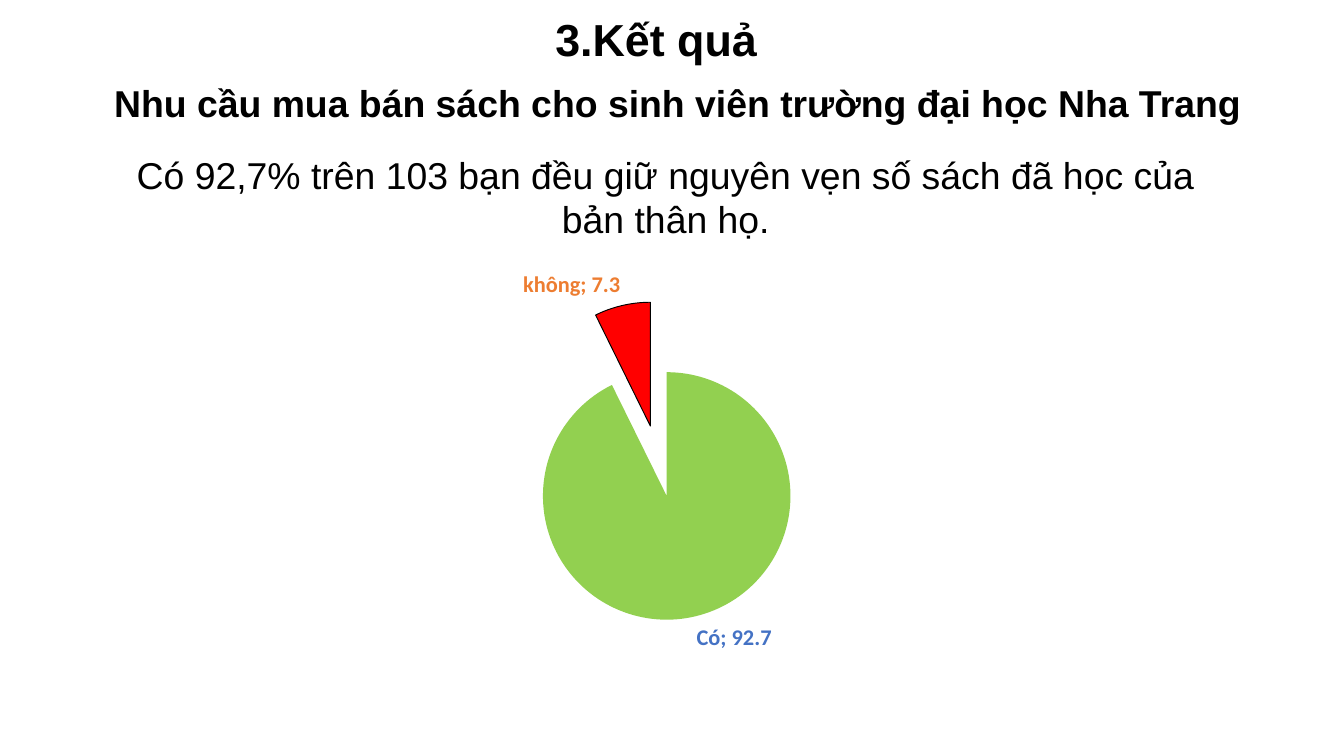
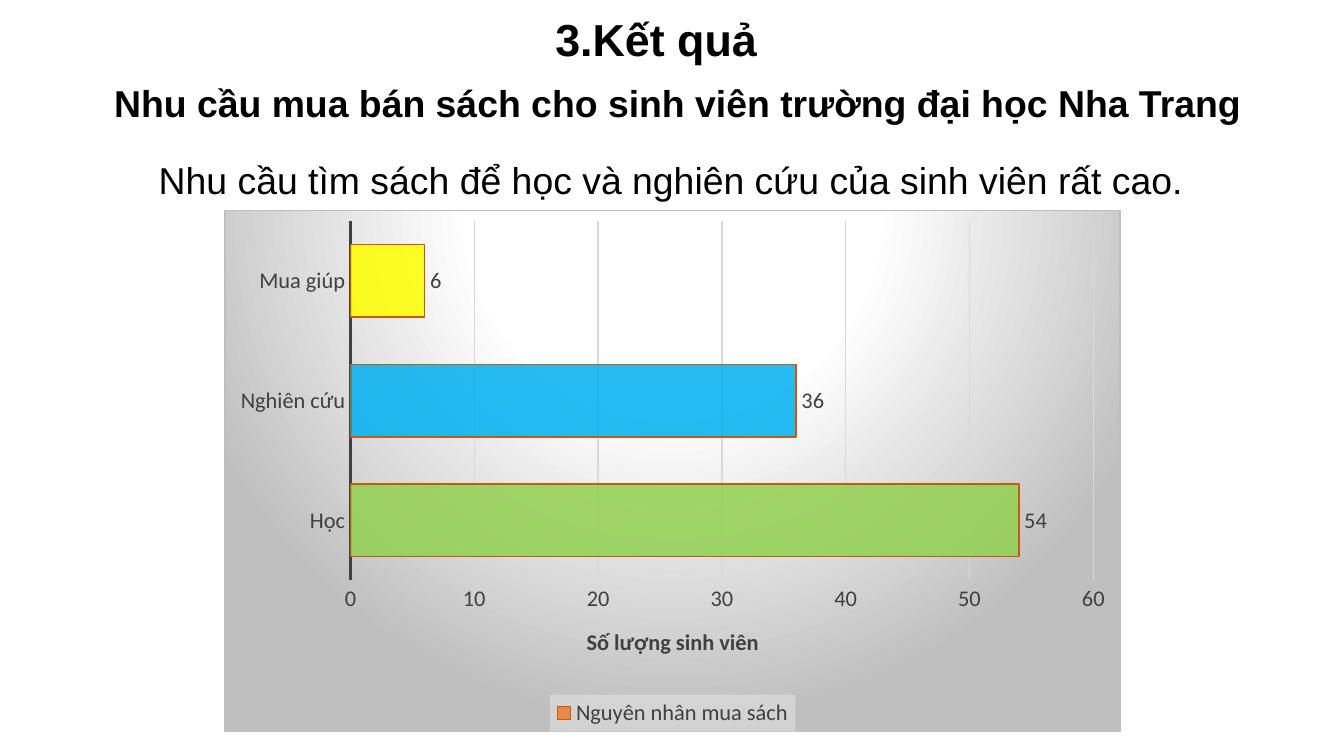
from lxml import etree
from pptx import Presentation, util as u
from pptx.chart.data import CategoryChartData
from pptx.dml.color import RGBColor
from pptx.enum import chart as ch, text
from pptx.oxml import parse_xml
from pptx.oxml.ns import nsdecls, qn

CELL = u.Inches(0.1)  # the slide is a grid of 100 columns and 56.25 rows
COLS, ROWS = 100, 56.25

BLACK = RGBColor(0, 0, 0)
GREY = RGBColor(0x40, 0x40, 0x40)
PALE = RGBColor(0xD9, 0xD9, 0xD9)
GREEN = RGBColor(0x92, 0xD0, 0x50)
RED = RGBColor(0xFF, 0, 0)
SKY = RGBColor(0, 0xB0, 0xF0)
YELLOW = RGBColor(0xFF, 0xFF, 0)
BLUE = RGBColor(0x44, 0x72, 0xC4)
ORANGE = RGBColor(0xED, 0x7D, 0x31)
RUST = RGBColor(0xC5, 0x5A, 0x11)

HEAD = "3.Kết quả"
TOPIC = "Nhu cầu mua bán sách cho sinh viên trường đại học Nha Trang"

BACK = f"""<c:spPr {nsdecls("c", "a")}>
  <a:gradFill>
    <a:gsLst>
      <a:gs pos="0"><a:srgbClr val="FFFFFF"/></a:gs>
      <a:gs pos="39000"><a:srgbClr val="FFFFFF"/></a:gs>
      <a:gs pos="100000"><a:srgbClr val="BFBFBF"/></a:gs>
    </a:gsLst>
    <a:path path="circle">
      <a:fillToRect l="50000" t="-80000" r="50000" b="180000"/>
    </a:path>
  </a:gradFill>
  <a:ln w="9525"><a:solidFill><a:srgbClr val="BFBFBF"/></a:solidFill></a:ln>
</c:spPr>"""

VEIL = f"""<c:spPr {nsdecls("c", "a")}>
  <a:solidFill><a:srgbClr val="F2F2F2"><a:alpha val="39000"/></a:srgbClr></a:solidFill>
</c:spPr>"""


def cells(*spans):
    return [round(n * CELL) for n in spans]


def set_font(font, size, color, bold=False, name="Calibri"):
    font.name, font.size, font.bold = name, u.Pt(size), bold
    font.color.rgb = color


def add_text(slide, box, words, size=20, bold=False, align=None, pad=0.1,
             middle=False, grow=False):
    frame = slide.shapes.add_textbox(*cells(*box)).text_frame
    frame.word_wrap = True
    frame.margin_top = frame.margin_bottom = u.Inches(pad)
    if middle:
        frame.vertical_anchor = text.MSO_ANCHOR.MIDDLE
    if grow:
        frame.auto_size = text.MSO_AUTO_SIZE.SHAPE_TO_FIT_TEXT
    para = frame.paragraphs[0]
    para.text = words
    para.alignment = align
    set_font(para.font, size, BLACK, bold, "Arial")


def add_page(deck, claim, box):
    """Add a slide with the shared headings and its own claim."""
    slide = deck.slides.add_slide(deck.slide_layouts[6])
    add_text(slide, (32.1, -1.1, 25.2, 8), HEAD, 24, True,
             text.PP_ALIGN.RIGHT, middle=True)
    add_text(slide, box, claim, align=text.PP_ALIGN.CENTER, pad=0.05, grow=True)
    add_text(slide, (7.5, 5, 86.8, 5.9), TOPIC, bold=True)
    return slide


def add_chart(slide, kind, box, name, data, area):
    """Add a one-series chart; area is the plot's x, y, w, h as chart shares."""
    source = CategoryChartData()
    source.categories = list(data)
    source.add_series(name, list(data.values()))
    chart = slide.shapes.add_chart(kind, *cells(*box), source).chart
    chart.has_title = chart.has_legend = False
    set_font(chart.font, 10, BLACK)

    plot = chart.element.find(".//" + qn("c:plotArea"))
    for old in plot.findall(qn("c:layout")):
        plot.remove(old)
    layout = etree.Element(qn("c:layout"))
    manual = etree.SubElement(layout, qn("c:manualLayout"))
    rules = [("layoutTarget", "inner"), ("xMode", "edge"), ("yMode", "edge"),
             *zip("xywh", area)]
    for tag, val in rules:
        etree.SubElement(manual, qn("c:" + tag)).set("val", str(val))
    plot.insert(0, layout)
    return chart


def paint(series, colors):
    for spot, color in enumerate(colors):
        look = series.points[spot].format
        look.fill.solid()
        look.fill.fore_color.rgb = color
        yield look


def add_pie(slide):
    chart = add_chart(slide, ch.XL_CHART_TYPE.PIE, (16.7, 17.5, 62.1, 32.9),
                      "Series 1", {"Có": 92.7, "không": 7.3},
                      (0.38, 0.31, 0.3, 0.56))
    series = chart.plots[0].series[0]
    keep, sold = paint(series, (GREEN, RED))
    keep.line.fill.background()
    sold.line.color.rgb = BLACK
    sold.line.width = u.Pt(0.5)

    wedge = series._element.findall(qn("c:dPt"))[1]
    burst = etree.Element(qn("c:explosion"), val="58")
    wedge.find(qn("c:spPr")).addprevious(burst)

    for spot, color in enumerate((BLUE, ORANGE)):
        label = series.points[spot].data_label
        set_font(label.font, 12, color, True)
        label.position = ch.XL_LABEL_POSITION.OUTSIDE_END
    for label in series._element.iter(qn("c:dLbl")):
        label.find(qn("c:showCatName")).set("val", "1")
        etree.SubElement(label, qn("c:separator")).text = "; "
    series.points[0].data_label  # both labels share the series defaults below
    labels = chart.plots[0].series[0].data_labels
    labels.show_value = labels.show_category_name = True
    labels.position = ch.XL_LABEL_POSITION.OUTSIDE_END


def style_axes(chart):
    for axis in (chart.category_axis, chart.value_axis):
        axis.major_tick_mark = axis.minor_tick_mark = ch.XL_TICK_MARK.NONE
        set_font(axis.tick_labels.font, 12, GREY)
    base, scale = chart.category_axis, chart.value_axis
    base.format.line.color.rgb = GREY
    base.format.line.width = u.Pt(1.5)
    base.has_major_gridlines = False
    scale.format.line.fill.background()
    scale.minimum_scale, scale.maximum_scale, scale.major_unit = 0, 60, 10
    grid = scale.major_gridlines.format.line
    grid.color.rgb, grid.width = PALE, u.Pt(0.75)
    para = scale.axis_title.text_frame.paragraphs[0]
    para.text = "Số lượng sinh viên"
    set_font(para.font, 12, GREY, True)


def add_bars(slide):
    name = "Nguyên nhân mua sách"
    chart = add_chart(slide, ch.XL_CHART_TYPE.BAR_CLUSTERED,
                      (16.7, 15.6, 66.7, 38.9), name,
                      {"Học": 54, "Nghiên cứu": 36, "Mua giúp": 6},
                      (0.14, 0.02, 0.83, 0.69))
    style_axes(chart)
    plot = chart.plots[0]
    plot.gap_width, plot.vary_by_categories = 65, False
    series = plot.series[0]
    series.invert_if_negative = False
    series.format.fill.solid()
    series.format.fill.fore_color.rgb = ORANGE
    for look in (series.format, *paint(series, (GREEN, SKY, YELLOW))):
        look.line.color.rgb, look.line.width = RUST, u.Pt(0.75)
    for color in series._element.xpath(".//c:spPr/a:solidFill/a:srgbClr"):
        etree.SubElement(color, qn("a:alpha")).set("val", "85000")

    labels = series.data_labels
    labels.show_value = True
    labels.position = ch.XL_LABEL_POSITION.OUTSIDE_END
    set_font(labels.font, 12, GREY)

    chart.has_legend = True
    legend = chart.legend
    legend.position = ch.XL_LEGEND_POSITION.BOTTOM
    legend.include_in_layout = False
    set_font(legend.font, 12, GREY)
    root = chart.element
    root.find(".//" + qn("c:legend")).find(qn("c:overlay")).addnext(parse_xml(VEIL))
    root.find(qn("c:chart")).addnext(parse_xml(BACK))


def main():
    deck = Presentation()
    deck.slide_width, deck.slide_height = cells(COLS, ROWS)
    add_pie(add_page(
        deck,
        "Có 92,7% trên 103 bạn đều giữ nguyên vẹn số sách đã học của bản thân họ.",
        (7.5, 10.8, 84.1, 7.7)))
    add_bars(add_page(
        deck,
        "Nhu cầu tìm sách để học và nghiên cứu của sinh viên rất cao.",
        (7.9, 11.2, 84.1, 4.4)))
    deck.save("out.pptx")


if __name__ == "__main__":
    main()
